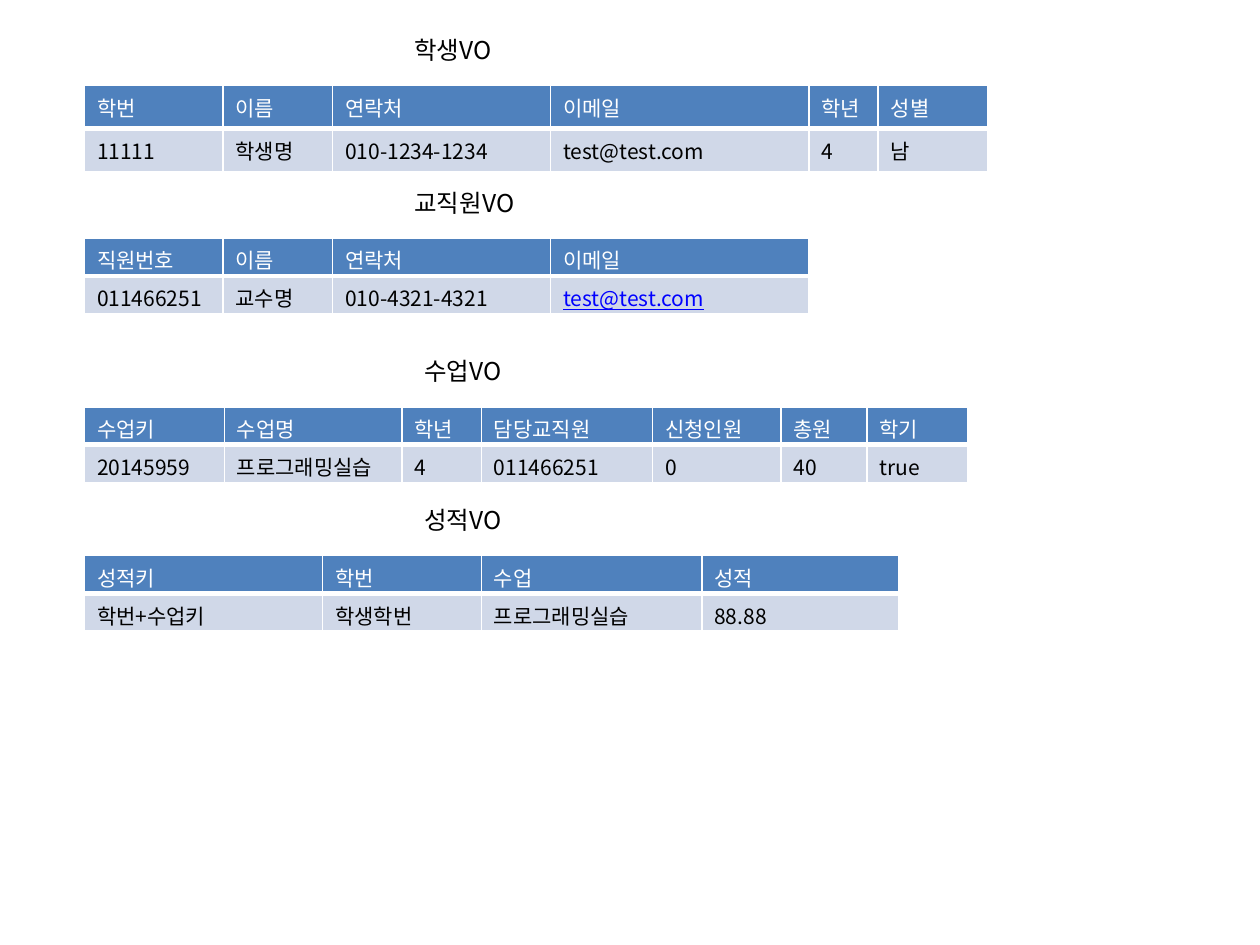
from dataclasses import dataclass
from itertools import product

from lxml.etree import SubElement
from pptx import Presentation
from pptx.dml.color import RGBColor
from pptx.enum.text import MSO_ANCHOR, MSO_AUTO_SIZE
from pptx.oxml.ns import qn
from pptx.slide import Slide
from pptx.table import _Cell
from pptx.text.text import TextFrame
from pptx.util import Inches, Pt


@dataclass(frozen=True)
class Theme:
    font: str = "Noto Sans CJK KR"
    title_size: int = 14
    cell_size: int = 12
    text: str = "000000"
    link: str = "0000FF"
    header_text: str = "FFFFFF"
    header_fill: str = "4F81BD"
    body_fill: str = "D0D8E8"
    border: str = "FFFFFF"


@dataclass(frozen=True)
class Record:
    title: str
    title_left: float
    title_width: float
    top: float
    widths: tuple[float, ...]
    names: tuple[str, ...]
    values: tuple[str, ...]
    bottom_margin: float = 0
    link_column: int = -1


THEME = Theme()
TABLE_LEFT = 0.67
ROW_HEIGHT = 0.3
TITLE_OFFSET = 0.45
TITLE_HEIGHT = 0.34

RECORDS = (
    Record("학생VO", 3.19, 0.98, 0.68, (1.1, 0.87, 1.73, 2.05, 0.55, 0.87),
           ("학번", "이름", "연락처", "이메일", "학년", "성별"),
           ("11111", "학생명", "010-1234-1234", "test@test.com", "4", "남"),
           bottom_margin=0.05),
    Record("교직원VO", 3.19, 1.18, 1.89, (1.1, 0.87, 1.73, 2.05),
           ("직원번호", "이름", "연락처", "이메일"),
           ("011466251", "교수명", "010-4321-4321", "test@test.com"),
           link_column=3),
    Record("수업VO", 3.27, 1.18, 3.23, (1.11, 1.41, 0.63, 1.36, 1.02, 0.68, 0.8),
           ("수업키", "수업명", "학년", "담당교직원", "신청인원", "총원", "학기"),
           ("20145959", "프로그래밍실습", "4", "011466251", "0", "40", "true")),
    Record("성적VO", 3.27, 1.18, 4.41, (1.89, 1.26, 1.75, 1.56),
           ("성적키", "학번", "수업", "성적"),
           ("학번+수업키", "학생학번", "프로그래밍실습", "88.88")),
)


def add_text(frame: TextFrame, text: str, size: int, color: str,
             underline: bool = False) -> None:
    run = frame.paragraphs[0].add_run()
    run.text = text
    run.font.size = Pt(size)
    run.font.name = THEME.font
    run.font.bold = False
    run.font.color.rgb = RGBColor.from_string(color)
    if underline:
        run.font.underline = True
    # East Asian typeface for the Korean text
    SubElement(run.font._element, qn("a:ea"), typeface=THEME.font)


def add_borders(cell: _Cell, bottom_width: int) -> None:
    properties = cell._tc.get_or_add_tcPr()
    for side, width in (("L", 1), ("R", 1), ("T", 1), ("B", bottom_width)):
        line = SubElement(properties, qn(f"a:ln{side}"), w=str(Pt(width)))
        fill = SubElement(line, qn("a:solidFill"))
        SubElement(fill, qn("a:srgbClr"), val=THEME.border)


def add_title(slide: Slide, record: Record) -> None:
    shape = slide.shapes.add_textbox(
        Inches(record.title_left), Inches(record.top - TITLE_OFFSET),
        Inches(record.title_width), Inches(TITLE_HEIGHT))
    shape.text_frame.word_wrap = True
    shape.text_frame.auto_size = MSO_AUTO_SIZE.SHAPE_TO_FIT_TEXT
    add_text(shape.text_frame, record.title, THEME.title_size, THEME.text)


def add_record_table(slide: Slide, record: Record) -> None:
    rows = (record.names, record.values)
    table = slide.shapes.add_table(
        len(rows), len(record.widths), Inches(TABLE_LEFT), Inches(record.top),
        Inches(sum(record.widths)), Inches(ROW_HEIGHT * len(rows))).table
    table.first_row = False
    table.horz_banding = False
    for column, width in zip(table.columns, record.widths):
        column.width = Inches(width)

    for row, column in product(range(len(rows)), range(len(record.widths))):
        cell = table.cell(row, column)
        header = row == 0
        link = not header and column == record.link_column
        add_borders(cell, 3 if header else 1)
        cell.fill.solid()
        cell.fill.fore_color.rgb = RGBColor.from_string(
            THEME.header_fill if header else THEME.body_fill)
        cell.vertical_anchor = MSO_ANCHOR.TOP
        cell.margin_bottom = Inches(record.bottom_margin)
        color = THEME.header_text if header else THEME.link if link else THEME.text
        add_text(cell.text_frame, rows[row][column], THEME.cell_size, color, link)


presentation = Presentation()
presentation.slide_width = Inches(10)
presentation.slide_height = Inches(7.5)
slide = presentation.slides.add_slide(presentation.slide_layouts[6])

# Each record is a table with its title above
for record in RECORDS:
    add_record_table(slide, record)
    add_title(slide, record)

presentation.save("out.pptx")
